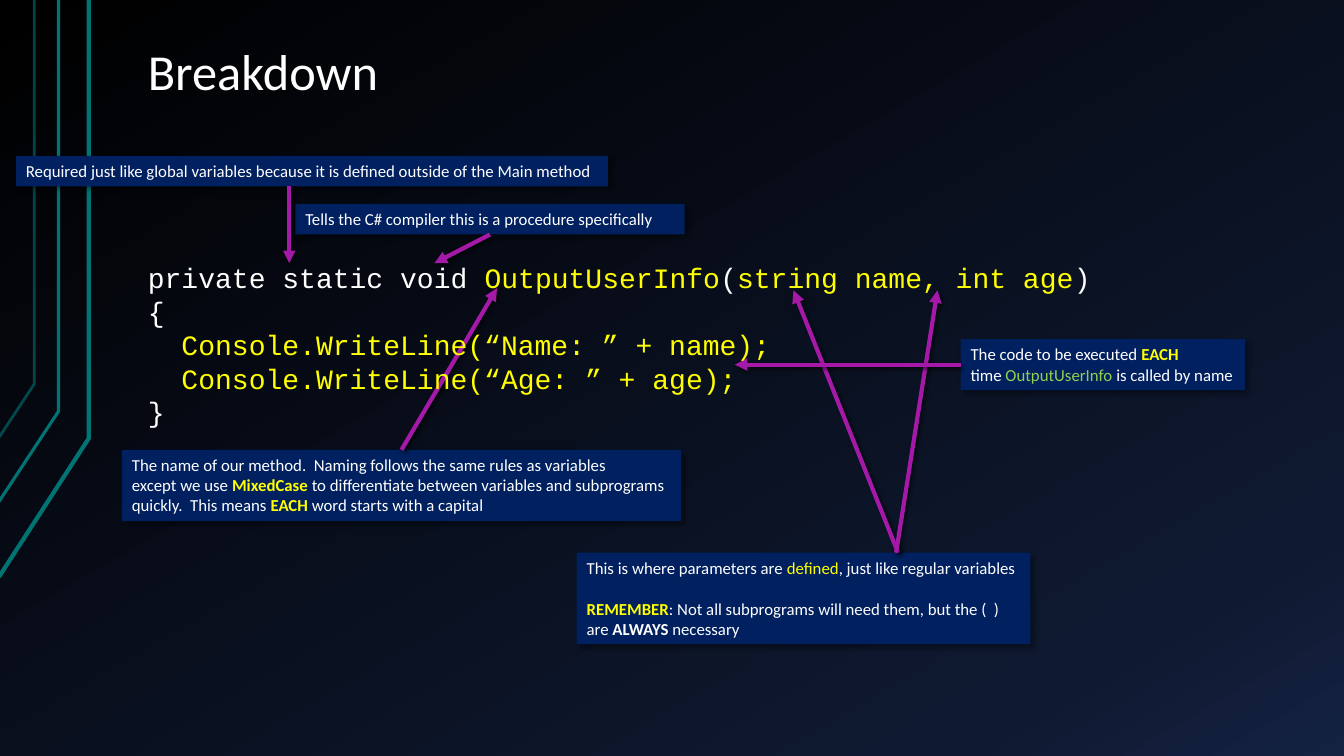
from copy import deepcopy

from lxml.etree import SubElement
from pptx import Presentation
from pptx.dml.color import RGBColor
from pptx.enum.shapes import MSO_CONNECTOR, MSO_SHAPE
from pptx.enum.text import MSO_ANCHOR, PP_ALIGN
from pptx.oxml.ns import qn
from pptx.util import Pt

COLORS = {
    "white": "FFFFFF", "yellow": "FFFF00", "green": "92D050",
    "navy": "002060", "purple": "A419A7", "teal": "007373", "black": "000000",
    "night": "0F1931", "dusk": "142242",
}
RGB = {name: RGBColor.from_string(value) for name, value in COLORS.items()}


def add_shadow(shape, opacity, blur, distance):
    effects = SubElement(shape._element.spPr, qn("a:effectLst"))
    shadow = SubElement(effects, qn("a:outerShdw"), blurRad=str(Pt(blur)),
                        dist=str(Pt(distance)), dir="2700000", algn="tl", rotWithShape="0")
    color = SubElement(shadow, qn("a:srgbClr"), val=COLORS["black"])
    SubElement(color, qn("a:alpha"), val=str(opacity * 1000))


def write_lines(text_frame, lines, font_name, size):
    """Each line is a list of (text, color) or (text, color, bold) runs."""
    for index, line in enumerate(lines):
        paragraph = text_frame.paragraphs[0] if index == 0 else text_frame.add_paragraph()
        paragraph.alignment = PP_ALIGN.LEFT
        for text, color, *bold in line:
            run = paragraph.add_run()
            run.text = text
            run.font.name = font_name
            run.font.size = Pt(size)
            run.font.color.rgb = RGB[color]
            run.font.bold = bool(bold)


presentation = Presentation()
presentation.slide_width = Pt(960)
presentation.slide_height = Pt(540)
slide = presentation.slides.add_slide(presentation.slide_layouts[6])
shapes = slide.shapes

# Background gradient with three stops
background = slide.background.fill
background.gradient()
background.gradient_angle = 300
last_stop = slide._element.find(".//" + qn("a:gsLst"))[-1]
last_stop.addnext(deepcopy(last_stop))
for stop, (position, color) in zip(
        background.gradient_stops, [(0, "black"), (0.85, "night"), (1, "dusk")]):
    stop.position = position
    stop.color.rgb = RGB[color]

# Teal lines at the left edge: start, bend x and y, width, opacity
for start_x, start_y, bend_x, bend_y, width, opacity in [
    (-0.7, 412, 63.4, 313.2, 3, 100),
    (-1.4, 359.3, 41.8, 293.8, 2.25, 100),
    (-0.7, 312.5, 24.5, 274.3, 2, 60),
]:
    builder = shapes.build_freeform(Pt(start_x), Pt(start_y))
    builder.add_line_segments([(Pt(bend_x), Pt(bend_y)), (Pt(bend_x), 0)], close=False)
    edge_line = builder.convert_to_shape()
    edge_line.fill.background()
    edge_line.line.color.rgb = RGB["teal"]
    edge_line.line.width = Pt(width)
    edge_line.shadow.inherit = False
    edge_color = edge_line._element.spPr.find(".//" + qn("a:ln")).find(".//" + qn("a:srgbClr"))
    SubElement(edge_color, qn("a:alpha"), val=str(opacity * 1000))

# Title
title = shapes.add_textbox(Pt(96), Pt(21.6), Pt(816), Pt(55.4))
title_frame = title.text_frame
title_frame.word_wrap = True
title_frame.vertical_anchor = MSO_ANCHOR.BOTTOM
title_frame.margin_left = title_frame.margin_right = Pt(9.6)
title_frame.margin_top = title_frame.margin_bottom = Pt(4.8)
write_lines(title_frame, [[("Breakdown", "white")]], "Calibri", 36)
title_frame.paragraphs[0].line_spacing = 0.9

# Explanation boxes: left, top, width, height, lines
notes = {
    "required": (11.4, 111.4, 422.8, 21.8, [
        [("Required just like global variables because it is defined "
          "outside of the Main method", "white")]]),
    "procedure": (211, 145.7, 278, 21.8, [
        [("Tells the C# compiler this is a procedure specifically", "white")]]),
    "naming": (87.1, 321.3, 399.4, 50.9, [
        [("The name of our method.  Naming follows the same rules as variables", "white")],
        [("except we use ", "white"), ("MixedCase", "yellow", True),
         (" to differentiate between variables and subprograms", "white")],
        [("quickly.  This means ", "white"), ("EACH", "yellow", True),
         (" word starts with a capital", "white")]]),
    "parameters": (412, 394.8, 324, 65.4, [
        [("This is where parameters are ", "white"), ("defined", "yellow"),
         (", just like regular variables", "white")],
        [("REMEMBER", "yellow", True),
         (": Not all subprograms will need them, but the (  )", "white")],
        [("are ", "white"), ("ALWAYS", "white", True), (" necessary", "white")]]),
    "body": (686.2, 242.3, 203.2, 36.4, [
        [("The code to be executed ", "white"), ("EACH", "yellow", True)],
        [("time ", "white"), ("OutputUserInfo", "green"), (" is called by name", "white")]]),
}
boxes = {}
for name, (left, top, width, height, lines) in notes.items():
    box = shapes.add_shape(MSO_SHAPE.RECTANGLE, Pt(left), Pt(top), Pt(width), Pt(height))
    box.fill.solid()
    box.fill.fore_color.rgb = RGB["navy"]
    box.line.fill.background()
    add_shadow(box, 40, 4, 3)
    box.text_frame.word_wrap = True
    box.text_frame.vertical_anchor = MSO_ANCHOR.TOP
    write_lines(box.text_frame, lines, "Calibri", 12)
    boxes[name] = box
boxes["parameters"].text_frame.paragraphs[1].space_before = Pt(14.6)

# Arrows into the code: start, end, joined box and side
for start_x, start_y, end_x, end_y, name, side in [
    (206.6, 133.2, 206.6, 188, None, None),
    (350, 167.5, 310.3, 188, "procedure", 2),
    (286.8, 321.3, 355, 205.9, "naming", 0),
    (641.5, 394.8, 566.8, 207.4, None, None),
    (640.1, 394.8, 669.6, 207.4, None, None),
    (686.2, 260.5, 524.9, 260.5, "body", 1),
]:
    arrow = shapes.add_connector(
        MSO_CONNECTOR.STRAIGHT, Pt(start_x), Pt(start_y), Pt(end_x), Pt(end_y))
    if name:
        arrow.begin_connect(boxes[name], side)
    arrow.line.color.rgb = RGB["purple"]
    arrow.line.width = Pt(3)
    SubElement(arrow.line._get_or_add_ln(), qn("a:tailEnd"), type="triangle")
    add_shadow(arrow, 60, 3, 2)

# Code listing
code = shapes.add_textbox(Pt(96), Pt(186), Pt(816), Pt(120))
code_frame = code.text_frame
code_frame.word_wrap = True
code_frame.margin_left = code_frame.margin_right = Pt(9.6)
code_frame.margin_top = code_frame.margin_bottom = 0
write_lines(code_frame, [
    [("private static void ", "white"), ("OutputUserInfo", "yellow"), ("(", "white"),
     ("string name, int age", "yellow"), (")", "white")],
    [("{", "white")],
    [("  Console.WriteLine(“Name: ” + name);", "yellow")],
    [("  Console.WriteLine(“Age: ” + age);", "yellow")],
    [("}", "white")],
], "Courier New", 20)
for paragraph in code_frame.paragraphs:
    paragraph.line_spacing = Pt(24)

presentation.save("out.pptx")
